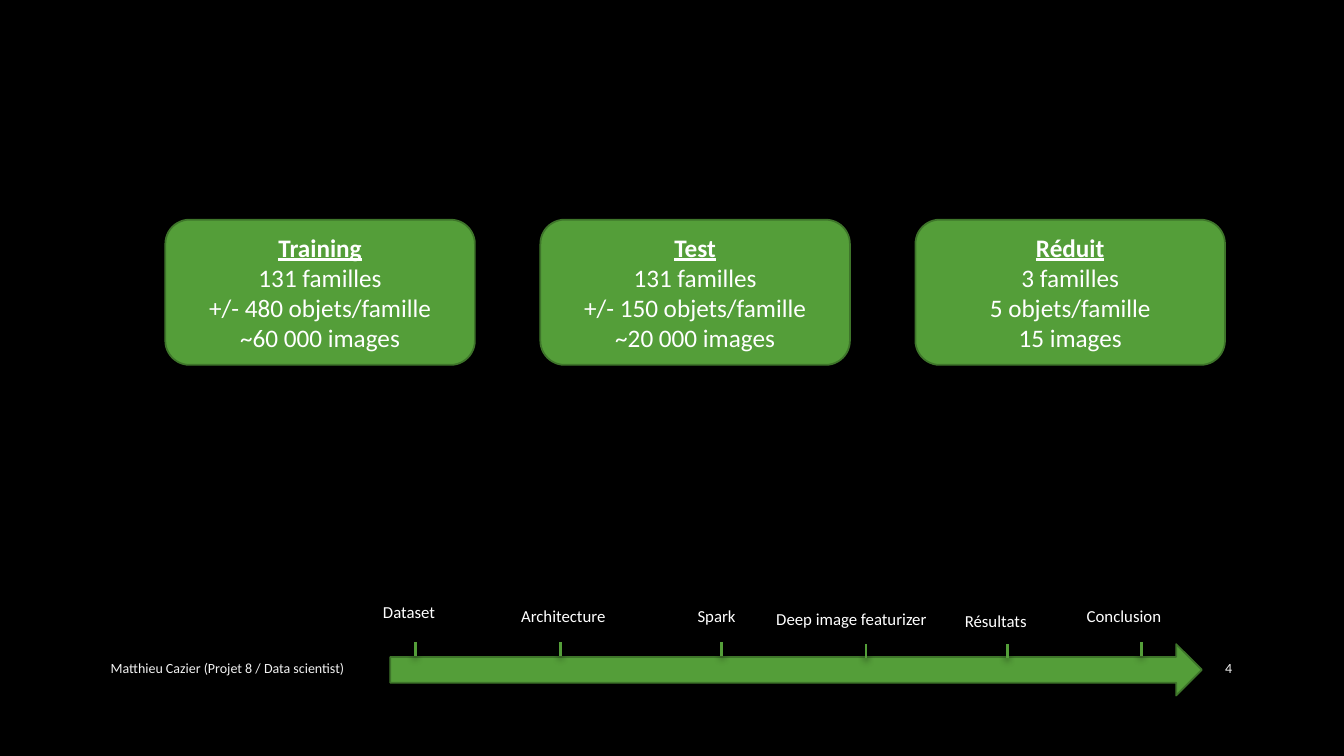
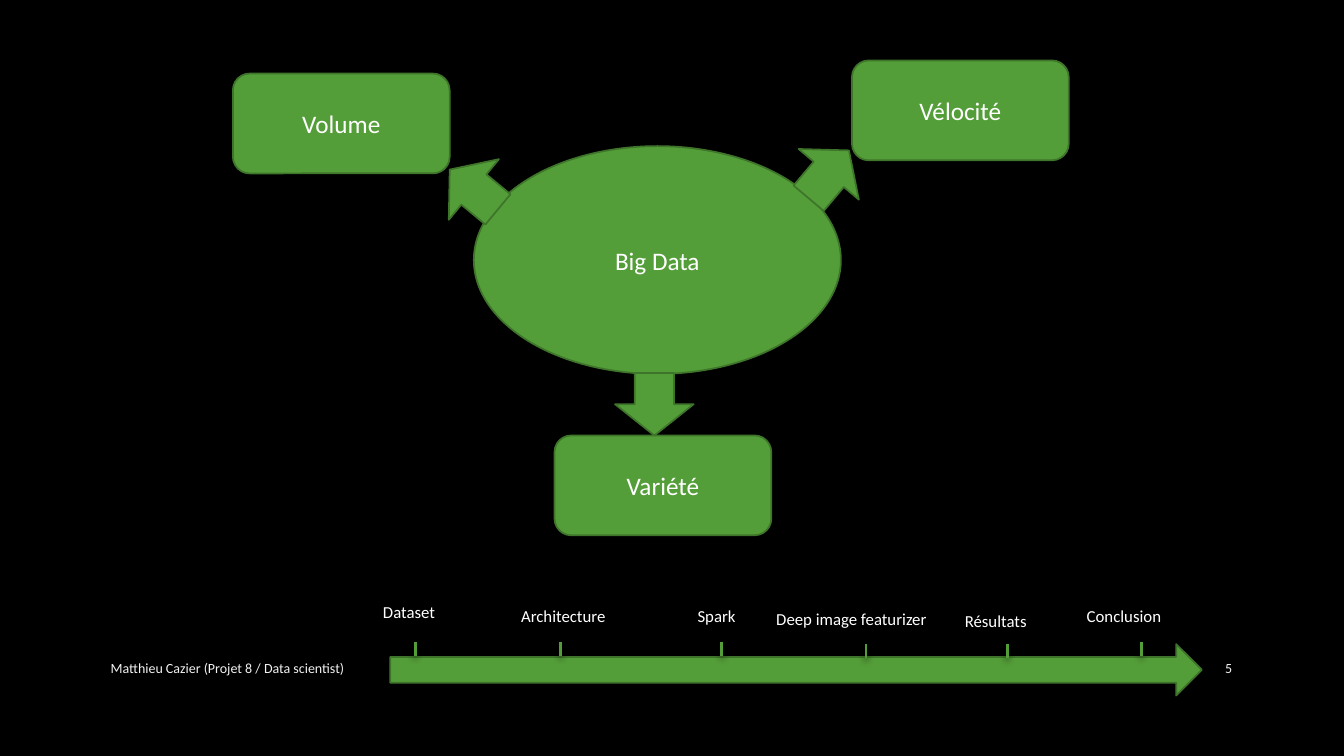
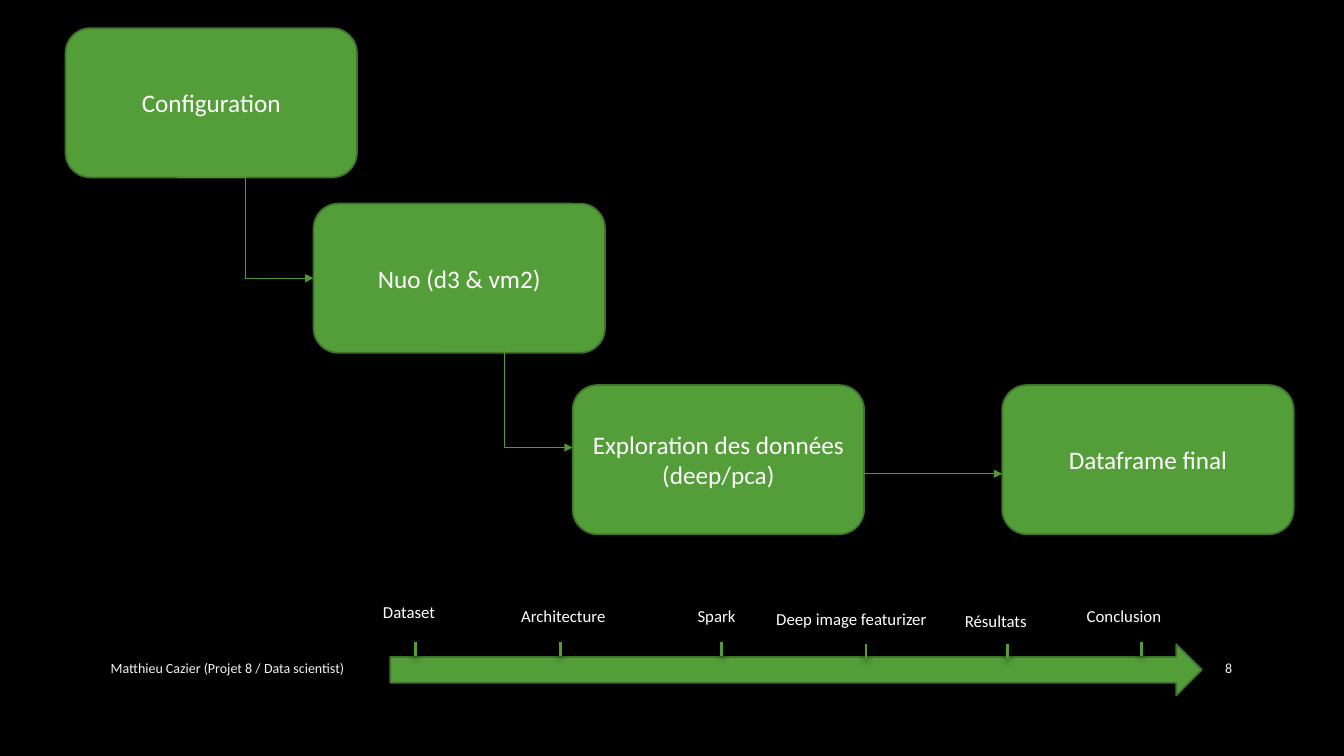
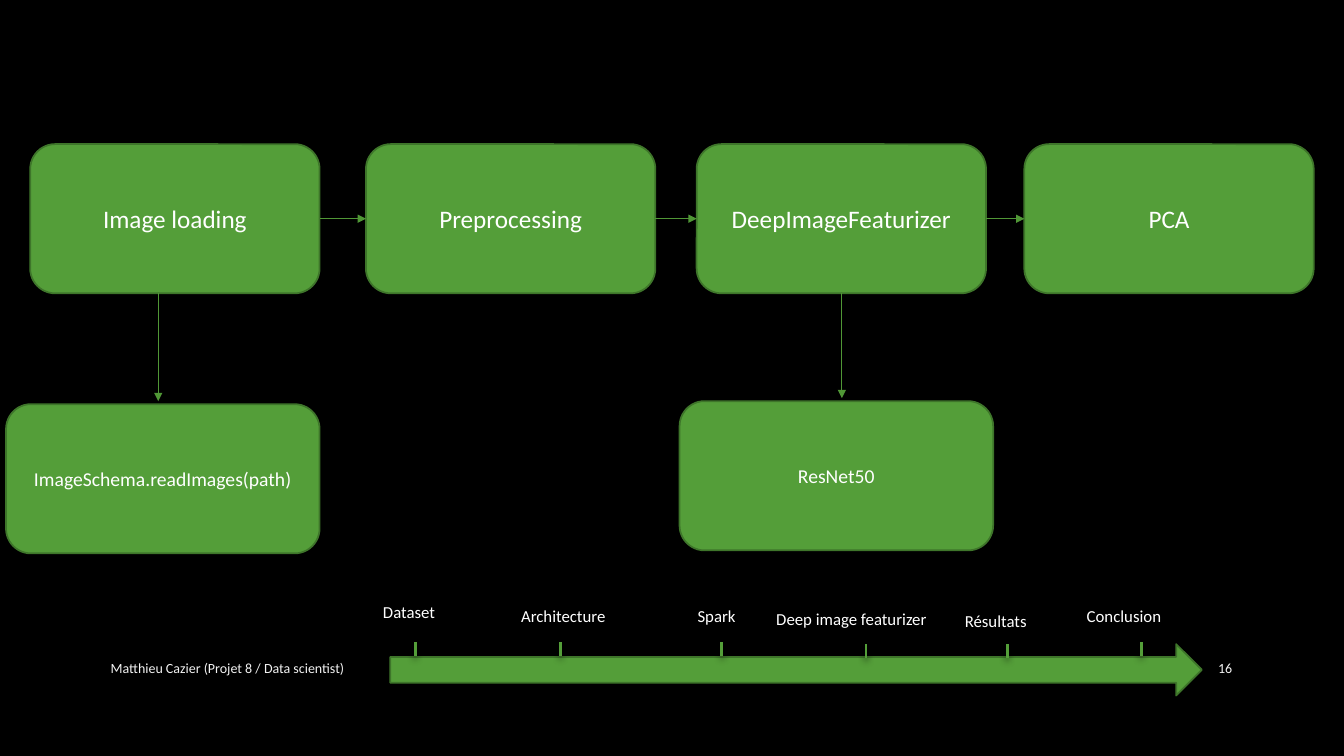
from lxml import etree
from pptx import Presentation
from pptx.dml.color import RGBColor
from pptx.enum.shapes import MSO_CONNECTOR, MSO_SHAPE
from pptx.enum.text import MSO_ANCHOR, PP_ALIGN
from pptx.oxml.ns import qn
from pptx.util import Inches, Pt

ROUNDED = MSO_SHAPE.ROUNDED_RECTANGLE
ELLIPSE = MSO_SHAPE.OVAL
BLOCK_ARROW = MSO_SHAPE.RIGHT_ARROW
STRAIGHT = MSO_CONNECTOR.STRAIGHT
ELBOW = MSO_CONNECTOR.ELBOW
LEFT = PP_ALIGN.LEFT
CENTER = PP_ALIGN.CENTER
RIGHT = PP_ALIGN.RIGHT
TOP = MSO_ANCHOR.TOP
MIDDLE = MSO_ANCHOR.MIDDLE

BLACK = RGBColor(0x00, 0x00, 0x00)
WHITE = RGBColor(0xFF, 0xFF, 0xFF)
PALE = RGBColor(0xF2, 0xF2, 0xF2)
GREEN = RGBColor(0x54, 0x9E, 0x39)
DARK_GREEN = RGBColor(0x3E, 0x75, 0x2A)
LINK_GREEN = RGBColor(0x50, 0x97, 0x36)
FONT = "Calibri"

AUTHOR = "Matthieu Cazier (Projet 8 / Data scientist)"
STAGES = [
    ("Dataset", 0, 0.17, 0, 0.99),
    ("Architecture", 1.37, 1.61, 0.04, 1.83),
    ("Spark", 3.12, 3.21, 0.04, 0.9),
    ("Deep image featurizer", 3.9, 4.64, 0.07, 1.91),
    ("Résultats", 5.77, 6.04, 0.09, 1.21),
    ("Conclusion", 6.98, 7.37, 0.04, 1.37),
]
DATASETS = [
    ["Training", "131 familles", "+/- 480 objets/famille", "~60 000 images"],
    ["Test", "131 familles", "+/- 150 objets/famille", "~20 000 images"],
    ["Réduit", "3 familles", "5 objets/famille", "15 images"],
]


def write(frame, lines, size, color=WHITE, align=LEFT, anchor=TOP):
    """Fill a text frame with one paragraph per line."""
    frame.word_wrap = True
    frame.vertical_anchor = anchor
    frame.text = "\n".join(lines)
    for para in frame.paragraphs:
        para.alignment = align
        for span in para.runs:
            span.font.name = FONT
            span.font.size = Pt(size)
            span.font.color.rgb = color


def add_label(slide, box, text, size, color=WHITE, align=LEFT, anchor=TOP):
    """Add a plain text box."""
    label = slide.shapes.add_textbox(*map(Inches, box))
    write(label.text_frame, [text], size, color, align, anchor)


def add_block(slide, kind, box, lines=(), size=18, angle=0):
    """Add a green shape with centred text."""
    block = slide.shapes.add_shape(kind, *map(Inches, box))
    block.shadow.inherit = False
    block.rotation = angle
    block.fill.solid()
    block.fill.fore_color.rgb = GREEN
    block.line.color.rgb = DARK_GREEN
    block.line.width = Pt(1.25)
    if lines:
        write(block.text_frame, lines, size, align=CENTER, anchor=MIDDLE)
    return block


def add_line(slide, kind, start, end, color, width):
    """Add a connector and return it with its emptied effect list."""
    line = slide.shapes.add_connector(kind, *map(Inches, (*start, *end)))
    line.line.color.rgb = color
    line.line.width = Pt(width)
    effects = etree.SubElement(line._element.spPr, qn("a:effectLst"))
    return line, effects


def add_link(slide, start, end, kind=STRAIGHT):
    """Add a thin line that ends in an arrowhead."""
    link, _ = add_line(slide, kind, start, end, LINK_GREEN, 0.75)
    etree.SubElement(link.line._get_or_add_ln(), qn("a:tailEnd"), type="triangle")


def add_tick(slide, left, top):
    """Add a short timeline mark with a soft shadow."""
    _, effects = add_line(slide, STRAIGHT, (left, top), (left, top + 0.14), GREEN, 2)
    shadow = etree.SubElement(
        effects, qn("a:outerShdw"), blurRad=str(Pt(5)), dist=str(Pt(2)), dir="5400000"
    )
    shade = etree.SubElement(shadow, qn("a:srgbClr"), val=str(BLACK))
    etree.SubElement(shade, qn("a:alpha"), val="60000")


def add_timeline(slide, left, top):
    """Add the arrow with its stages, labels starting at the given corner."""
    add_block(slide, BLOCK_ARROW, (left + 0.17, top + 0.47, 8.05, 0.51))
    for name, offset, mark, drop, width in STAGES:
        add_tick(slide, left + 0.25 + mark, top + (0.47 if drop > 0.05 else 0.45))
        add_label(slide, (left + offset, top + drop, width, 0.3), name, 12)


def add_page(deck, number):
    """Add a blank slide with the footer, page number and timeline."""
    slide = deck.slides.add_slide(deck.slide_layouts[6])
    add_label(slide, (1, 6.43, 7.3, 0.4), AUTHOR, 10, PALE, LEFT, MIDDLE)
    add_label(slide, (11.5, 6.43, 0.82, 0.4), str(number), 10, PALE, RIGHT, MIDDLE)
    add_timeline(slide, 3.7, 5.92)
    return slide


def add_datasets(slide, left, top):
    """Add one card per dataset, with an underlined heading."""
    for index, lines in enumerate(DATASETS):
        box = (left + 3.72 * index, top, 3.07, 1.44)
        card = add_block(slide, ROUNDED, box, lines)
        heading = card.text_frame.paragraphs[0].runs[0].font
        heading.bold = True
        heading.underline = True


def add_big_data(slide, left, top):
    """Add the central ellipse and the three notions it points to."""
    add_block(slide, ELLIPSE, (left + 2.39, top + 0.85, 3.64, 2.26), ["Big Data"])
    notions = [
        ("Volume", 0, 0.13, 2.08, 0.89, 219.6),
        ("Variété", 3.19, 3.72, 3.87, 3.02, 90),
        ("Vélocité", 6.14, 0, 5.6, 0.74, 310.1),
    ]
    for name, across, down, arrow_across, arrow_down, angle in notions:
        add_block(slide, ROUNDED, (left + across, top + down, 2.15, 0.99), [name])
        arrow_box = (left + arrow_across, top + arrow_down, 0.62, 0.78)
        add_block(slide, BLOCK_ARROW, arrow_box, angle=angle)


def add_cascade(slide, left, top):
    """Add the steps that lead down to the final dataframe."""
    width, height = 2.89, 1.48
    steps = [
        ("Configuration", 0, 0),
        ("Nuo (d3 & vm2)", 2.46, 1.74),
        ("Exploration des données (deep/pca)", 5.03, 3.54),
        ("Dataframe final", 9.29, 3.54),
    ]
    for name, across, down in steps:
        add_block(slide, ROUNDED, (left + across, top + down, width, height), [name])
    for (_, across, _), drop in zip(steps[1:3], (2.48, 4.16)):
        end = (left + across, top + drop)
        add_link(slide, (end[0] - 1.35, end[1] - 1), end, ELBOW)
    level = top + 4.42
    add_link(slide, (left + 5.03 + width, level), (left + 9.29, level))


def add_pipeline(slide, left, top):
    """Add the processing row and the two details below it."""
    width, height = 2.87, 1.48
    names = ["Image loading", "Preprocessing", "DeepImageFeaturizer", "PCA"]
    starts = [left + offset for offset in (0, 3.33, 6.61, 9.86)]
    for name, start in zip(names, starts):
        add_block(slide, ROUNDED, (start, top, width, height), [name])
    level = top + height / 2
    for start, following in zip(starts, starts[1:]):
        add_link(slide, (start + width, level), (following, level))
    details = [
        ("ImageSchema.readImages(path)", -0.24, 2.58, 1.27),
        ("ResNet50", 6.44, 2.55, 8.05),
    ]
    for name, across, down, stem in details:
        add_block(slide, ROUNDED, (left + across, top + down, 3.11, height), [name], 14)
        end = (left + stem, top + down - 0.03)
        add_link(slide, (end[0], top + height), end)


def main():
    """Build and save the deck."""
    deck = Presentation()
    deck.slide_width = Inches(13.33)
    deck.slide_height = Inches(7.5)
    backdrop = deck.slide_master.background.fill
    backdrop.solid()
    backdrop.fore_color.rgb = BLACK
    add_datasets(add_page(deck, 4), 1.64, 2.18)
    add_big_data(add_page(deck, 5), 2.31, 0.6)
    add_cascade(add_page(deck, 8), 0.65, 0.28)
    add_pipeline(add_page(deck, 16), 0.3, 1.43)
    deck.save("out.pptx")


if __name__ == "__main__":
    main()
